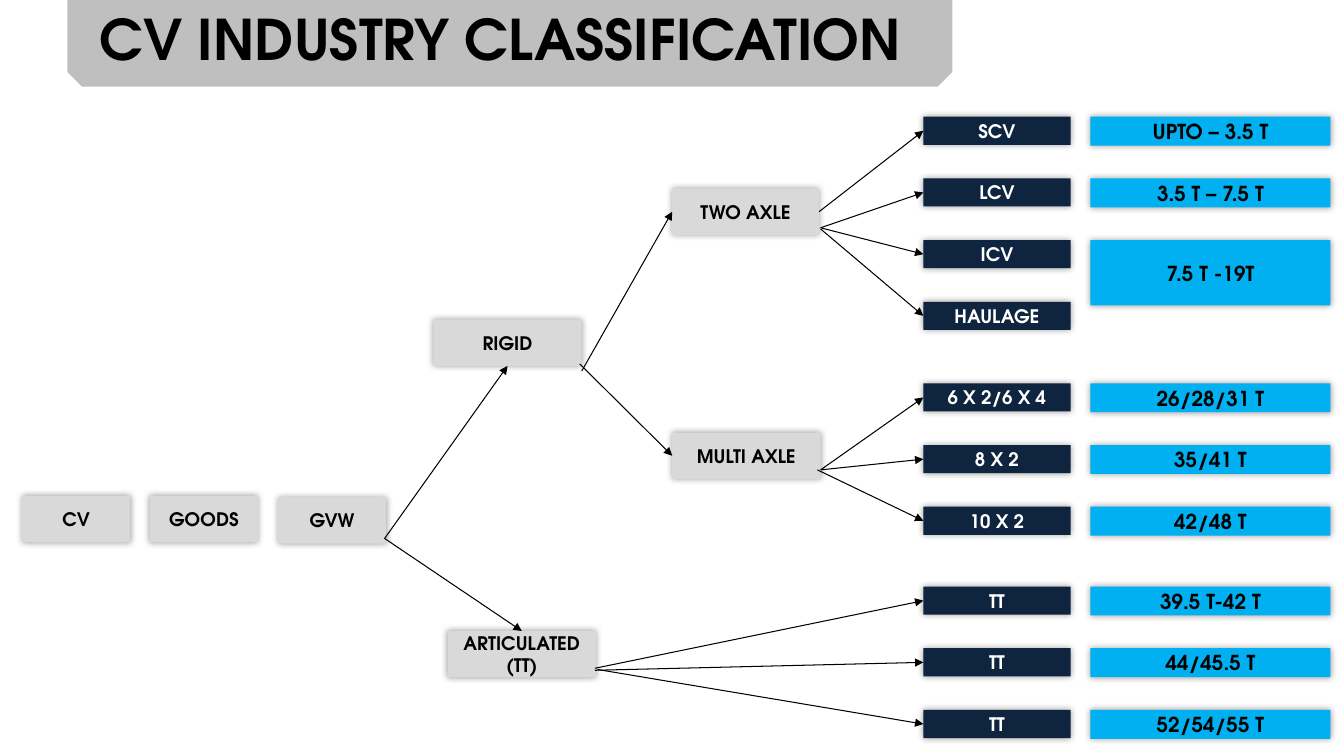
import pptx
import pptx.util
import pptx.dml.color
import pptx.enum.shapes
import pptx.enum.text
import pptx.oxml
import pptx.oxml.ns
from pptx.util import Cm, Pt

TITLE = "CV INDUSTRY CLASSIFICATION"
FONT = "TeX Gyre Adventor"
COLORS = {
    "tab": "BFBFBF", "stage": "D9D9D9", "leaf": "0F243E",
    "range": "00B0F0", "dark": "000000", "light": "FFFFFF",
}
STAGES = {
    "CV": (0.56, 12.5, 2.72),
    "GOODS": (3.78, 12.5, 2.72),
    "GVW": (7.01, 12.53, 2.72),
    "RIGID": (10.92, 8.05, 3.74),
    "ARTICULATED (TT)": (11.28, 15.9, 3.74),
    "TWO AXLE": (16.94, 4.75, 3.7),
    "MULTI AXLE": (16.94, 10.9, 3.74),
}
GROUPS = [
    ("TWO AXLE", 2.94, ["SCV", "LCV", "ICV", "HAULAGE"],
     [("UPTO – 3.5 T", 0.73), ("3.5 T – 7.5 T", 0.73), ("7.5 T -19T", 1.65)]),
    ("MULTI AXLE", 9.66, ["6 X 2/6 X 4", "8 X 2", "10 X 2"],
     [("26/28/31 T", 0.73), ("35/41 T", 0.73), ("42/48 T", 0.73)]),
    ("ARTICULATED (TT)", 14.78, ["TT", "TT", "TT"],
     [("39.5 T-42 T", 0.73), ("44/45.5 T", 0.73), ("52/54/55 T", 0.73)]),
]
LEAF_STARTS = {
    "TWO AXLE": [None, (20.68, 5.74), (20.68, 5.74), (20.68, 5.77)],
    "MULTI AXLE": [(20.68, 11.84), (20.68, 11.84), (20.6, 11.84)],
    "ARTICULATED (TT)": [(14.99, 16.84), (14.99, 16.89), (15.06, 16.87)],
}
BRANCHES = [
    ((9.7, 13.56), "RIGID", 2),
    ((9.68, 13.56), "ARTICULATED (TT)", 0),
    ((14.66, 9.35), "TWO AXLE", 1),
    ((14.61, 9.17), "MULTI AXLE", 1),
]
STAGE_HEIGHT = 1.17
LEAF_LEFT, LEAF_WIDTH, LEAF_HEIGHT = 23.27, 3.71, 0.71
RANGE_LEFT, RANGE_WIDTH = 27.48, 6.05
ROW_PITCH = 1.555
RIGHT_SIDE, LEFT_SIDE = 3, 1

NAMESPACE = pptx.oxml.ns.nsdecls("a")
SHADOW = (
    f'<a:effectLst {NAMESPACE}><a:outerShdw blurRad="63500" dist="0" dir="0" '
    'algn="ctr" rotWithShape="0"><a:srgbClr val="000000"><a:alpha val="40000"/>'
    '</a:srgbClr></a:outerShdw></a:effectLst>'
)


def rgb(name):
    return pptx.dml.color.RGBColor.from_string(COLORS[name])


def add_block(slide, place, fill, kind="RECTANGLE"):
    preset = getattr(pptx.enum.shapes.MSO_SHAPE, kind)
    shape = slide.shapes.add_shape(preset, *[Cm(length) for length in place])
    shape.shadow.inherit = False
    shape.fill.solid()
    shape.fill.fore_color.rgb = rgb(fill)
    shape.line.fill.background()
    return shape


def write(shape, text, size, color="dark", align="CENTER"):
    frame = shape.text_frame
    frame.text = text
    frame.word_wrap = True
    frame.vertical_anchor = pptx.enum.text.MSO_ANCHOR.MIDDLE
    paragraph = frame.paragraphs[0]
    paragraph.alignment = getattr(pptx.enum.text.PP_ALIGN, align)
    font = paragraph.runs[0].font
    font.name, font.size, font.bold = FONT, Pt(size), True
    font.color.rgb = rgb(color)


def add_box(slide, text, place, fill, size, color="dark"):
    shape = add_block(slide, place, fill)
    properties = shape._element.spPr
    properties.remove(properties.find(pptx.oxml.ns.qn("a:effectLst")))
    properties.append(pptx.oxml.parse_xml(SHADOW))
    write(shape, text, size, color)
    return shape


def add_arrow(slide, start, target, side, source=None):
    left, top = start or (0, 0)
    connector = slide.shapes.add_connector(
        pptx.enum.shapes.MSO_CONNECTOR.STRAIGHT, Cm(left), Cm(top), Cm(left), Cm(top))
    if source is not None:
        connector.begin_connect(source, RIGHT_SIDE)
    connector.end_connect(target, side)
    connector.line.color.rgb = rgb("dark")
    connector.line.width = Pt(0.75)
    connector.line._get_or_add_ln().append(
        pptx.oxml.parse_xml(f'<a:tailEnd {NAMESPACE} type="triangle"/>'))
    connector._element.spPr.append(pptx.oxml.parse_xml(f"<a:effectLst {NAMESPACE}/>"))


def main():
    presentation = pptx.Presentation()
    presentation.slide_width, presentation.slide_height = Cm(33.87), Cm(19.05)
    slide = presentation.slides.add_slide(presentation.slide_layouts[6])

    tab = add_block(slide, (1.7, 0, 22.3, 2.18), "tab", "SNIP_2_SAME_RECTANGLE")
    tab.rotation = 180
    title = add_block(slide, (2.26, -0.05, 21.18, 2.03), "tab")
    write(title, TITLE, 40, align="LEFT")

    stages = {
        text: add_box(slide, text, (left, top, width, STAGE_HEIGHT), "stage", 13.3)
        for text, (left, top, width) in STAGES.items()
    }
    for start, target, side in BRANCHES:
        add_arrow(slide, start, stages[target], side)

    for parent, group_top, leaves, ranges in GROUPS:
        for row, (text, start) in enumerate(zip(leaves, LEAF_STARTS[parent])):
            place = (LEAF_LEFT, group_top + row * ROW_PITCH, LEAF_WIDTH, LEAF_HEIGHT)
            leaf = add_box(slide, text, place, "leaf", 13.3, "light")
            source = None if start else stages[parent]
            add_arrow(slide, start, leaf, LEFT_SIDE, source)
        for row, (text, height) in enumerate(ranges):
            place = (RANGE_LEFT, group_top + row * ROW_PITCH, RANGE_WIDTH, height)
            add_box(slide, text, place, "range", 14.7)

    presentation.save("out.pptx")


if __name__ == "__main__":
    main()
